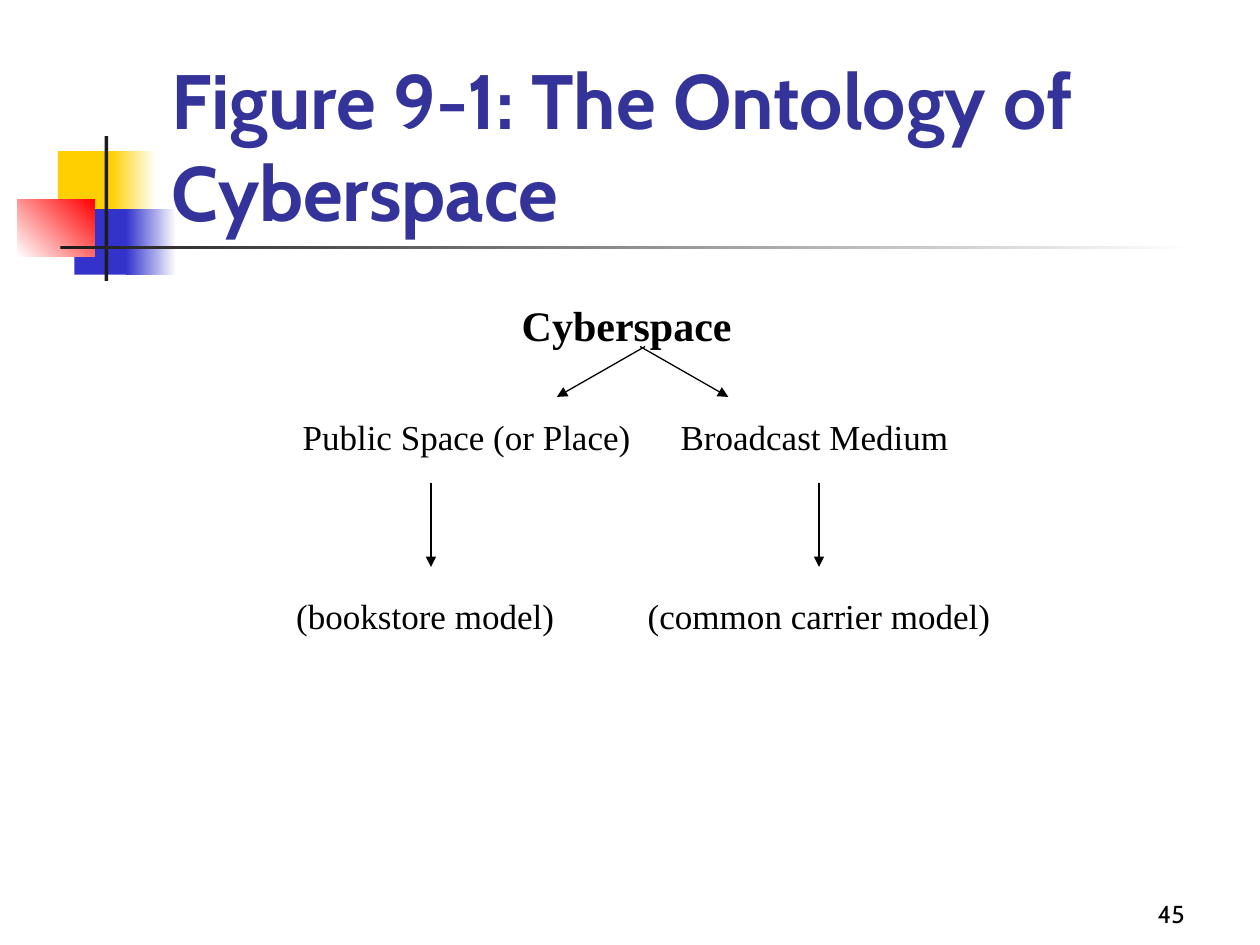
import pptx
import pptx.util
import pptx.dml.color
import pptx.enum.shapes
import pptx.enum.text
import pptx.oxml
import pptx.oxml.ns

Inches = pptx.util.Inches
ALIGN = pptx.enum.text.PP_ALIGN
ANCHOR = pptx.enum.text.MSO_ANCHOR
COLORS = {"yellow": "FFCF01", "blue": "3333CC", "red": "FF0000", "dark": "1C1C1C",
          "white": "FFFFFF", "title": "333399", "text": "000000"}
HEAD_FONT, BODY_FONT = "Cabin", "Times New Roman"


def rgb(name):
    return pptx.dml.color.RGBColor.from_string(COLORS[name])


def add_block(s, box, start, end=None, angle=0):
    """Borderless rectangle, solid or fading from start to end."""
    sp = s.shapes.add_shape(pptx.enum.shapes.MSO_SHAPE.RECTANGLE, *map(Inches, box))
    sp.shadow.inherit = False
    sp.line.fill.background()
    if end is None:
        sp.fill.solid()
        sp.fill.fore_color.rgb = rgb(start)
        return
    sp.fill.gradient()
    sp.fill.gradient_angle = angle
    for stop, name in zip(sp.fill.gradient_stops, (start, end)):
        stop.color.rgb = rgb(name)


def add_text(s, box, text, size, font=BODY_FONT, color="text", bold=False,
             align=ALIGN.CENTER, anchor=ANCHOR.TOP):
    tf = s.shapes.add_textbox(*map(Inches, box)).text_frame
    tf.word_wrap = True
    tf.vertical_anchor = anchor
    p = tf.paragraphs[0]
    p.alignment = align
    r = p.add_run()
    r.text = text
    r.font.size = pptx.util.Pt(size)
    r.font.name = font
    r.font.bold = bold
    r.font.color.rgb = rgb(color)
    return tf


def add_arrow(s, x1, y1, x2, y2):
    cx = s.shapes.add_connector(pptx.enum.shapes.MSO_CONNECTOR.STRAIGHT,
                                *map(Inches, (x1, y1, x2, y2)))
    cx.line.color.rgb = rgb("text")
    cx.line.width = pptx.util.Pt(0.75)
    pptx.oxml.ns.qn("a:tailEnd")
    tail = pptx.oxml.parse_xml(
        '<a:tailEnd %s type="triangle"/>' % pptx.oxml.ns.nsdecls("a"))
    cx.line._get_or_add_ln().append(tail)
    spPr = cx._element.spPr
    spPr.append(pptx.oxml.parse_xml('<a:effectLst %s/>' % pptx.oxml.ns.nsdecls("a")))


def add_pair(s, box, left, right, tab, inset_left=0.1, inset_right=0.1):
    """Centred row of two labels, the second one at a tab stop."""
    tf = add_text(s, box, left + "\t" + right, 20)
    tf.margin_left, tf.margin_right = Inches(inset_left), Inches(inset_right)
    pPr = tf.paragraphs[0]._p.get_or_add_pPr()
    pPr.append(pptx.oxml.parse_xml('<a:tabLst %s><a:tab pos="%d" algn="l"/></a:tabLst>'
                                   % (pptx.oxml.ns.nsdecls("a"), Inches(tab))))


def add_ornament(s, x, y):
    """Coloured squares with a cross of dark bars."""
    add_block(s, (x + 0.32, y + 0.12, 0.48, 0.52), "yellow")
    add_block(s, (x + 0.74, y + 0.12, 0.36, 0.52), "yellow", "white")
    add_block(s, (x + 0.45, y + 0.58, 0.46, 0.52), "blue")
    add_block(s, (x + 0.86, y + 0.58, 0.4, 0.52), "blue", "white")
    add_block(s, (x, y + 0.5, 0.61, 0.46), "white", "red", 45)
    add_block(s, (x + 0.69, y, 0.03, 1.15), "dark")
    add_block(s, (x + 0.34, y + 0.87, 9, 0.03), "dark", "white")


def add_tree(s, x, y, w):
    """Root, two branches and the model under each branch."""
    mid = x + w / 2
    add_text(s, (x, y, w, 0.9), "Cyberspace", 24, bold=True).margin_right = Inches(0.15)
    for side in (-1, 1):
        start = mid + 0.1 - side * 0.02
        add_arrow(s, start, y + 0.42, start + side * 0.7, y + 0.82)
    add_pair(s, (x, y + 0.92, w, 0.43), "Public Space (or Place)", "Broadcast Medium",
             3, inset_right=0.17)
    for branch_x in (x + 3.42, x + 6.5):
        add_arrow(s, branch_x, y + 1.5, branch_x, y + 2.17)
    add_pair(s, (x, y + 2.34, w, 0.43), "(bookstore model)", "(common carrier model)",
             2.79, inset_left=0.31)


def main():
    prs = pptx.Presentation()
    prs.slide_width, prs.slide_height = Inches(10), Inches(7.5)
    s = prs.slides.add_slide(prs.slide_layouts[6])
    add_ornament(s, 0.14, 1.08)
    # Title
    add_text(s, (1.26, 0.68, 8.52, 1.25), "Figure 9-1: The Ontology of Cyberspace", 44,
             HEAD_FONT, "title", True, ALIGN.LEFT, ANCHOR.BOTTOM)
    add_tree(s, 0, 2.33, 10)
    # Page number
    add_text(s, (7.42, 6.92, 2.08, 0.5), "45", 14, HEAD_FONT,
             align=ALIGN.RIGHT, anchor=ANCHOR.BOTTOM)
    prs.save("out.pptx")


if __name__ == "__main__":
    main()
